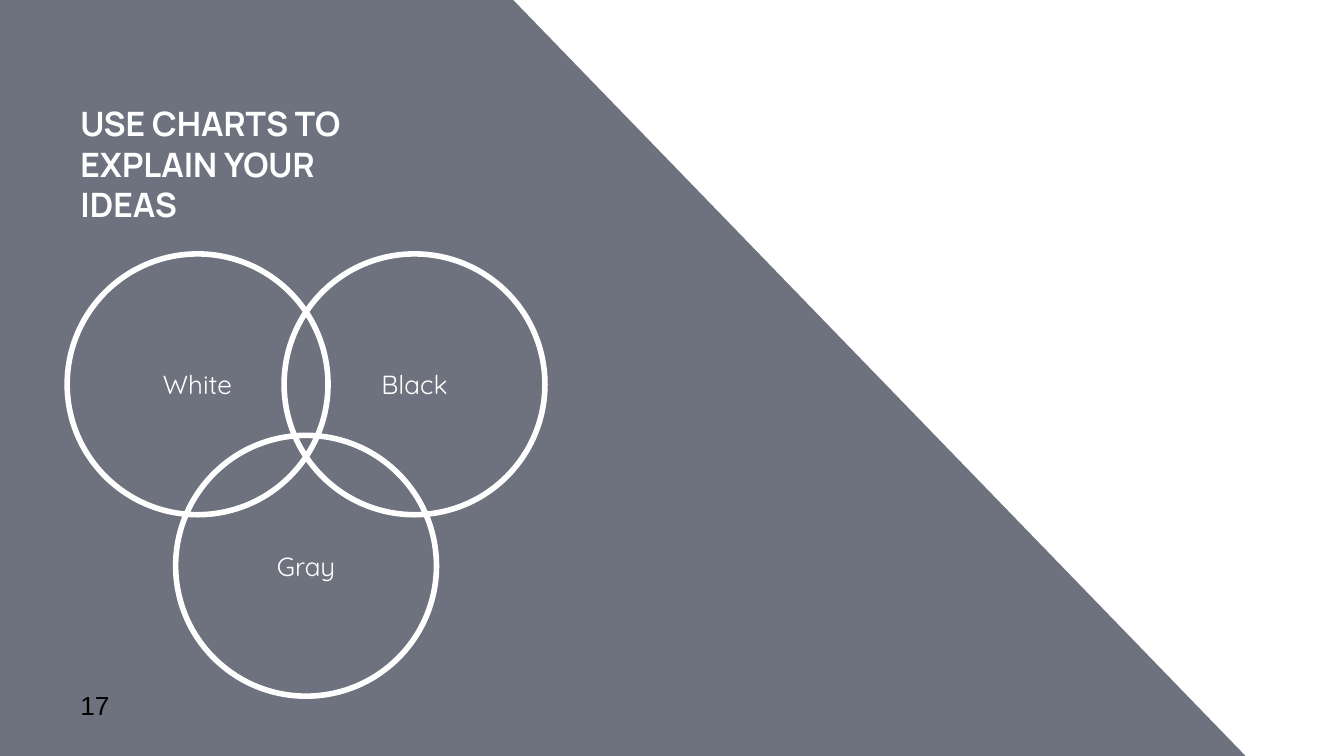
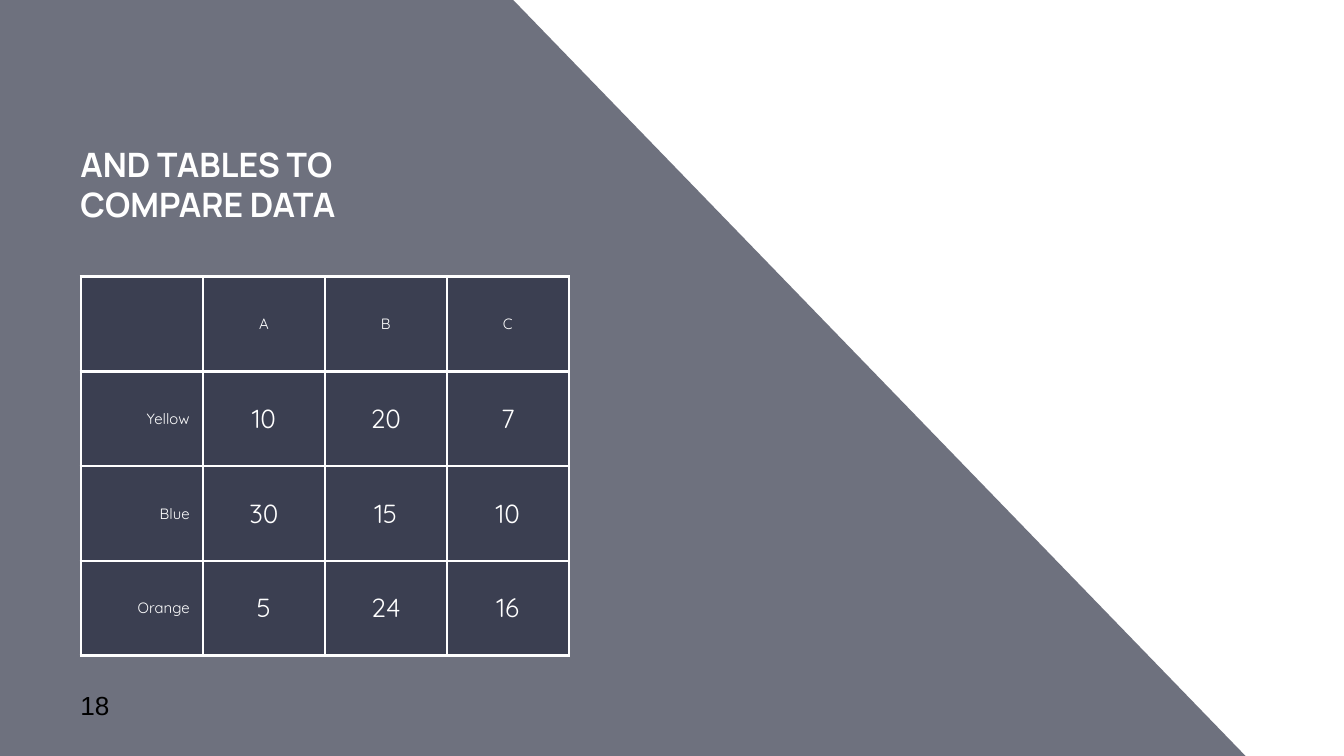
from lxml import etree
from pptx import Presentation
from pptx.dml.color import RGBColor
from pptx.enum.shapes import MSO_SHAPE
from pptx.enum.text import MSO_ANCHOR, PP_ALIGN
from pptx.oxml.ns import qn
from pptx.util import Cm, Pt

OVAL = MSO_SHAPE.OVAL
LEFT, MID, RIGHT = PP_ALIGN.LEFT, PP_ALIGN.CENTER, PP_ALIGN.RIGHT
CENTER, BOTTOM = MSO_ANCHOR.MIDDLE, MSO_ANCHOR.BOTTOM
WHITE, BLACK, NAVY = "FFFFFF", "000000", "212539"
HEAD, BODY, PLAIN = "Manrope", "Quicksand", "Arial"
WIDE, HIGH = 25.4, 14.29
MARGIN = 1.27
BAND = [(9.68, -0.02), (0, 0), (0, 14.3), (23.55, 14.3)]
GRID = [
    ["", "A", "B", "C"],
    ["Yellow", "10", "20", "7"],
    ["Blue", "30", "15", "10"],
    ["Orange", "5", "24", "16"],
]


def color(code):
    return RGBColor.from_string(code)


def tint(fill, props):
    fill.solid()
    fill.fore_color.rgb = color(NAVY)
    tone = props.find(qn("a:solidFill")).find(qn("a:srgbClr"))
    etree.SubElement(tone, qn("a:alpha"), val="65000")


def write(frame, text, size, face, code=WHITE, align=LEFT, bold=False):
    para = frame.paragraphs[0]
    para.alignment = align
    run = para.add_run()
    run.text = text
    font = run.font
    font.size, font.name, font.bold = Pt(size), face, bold
    font.color.rgb = color(code)


def inset(frame, anchor):
    frame.word_wrap = True
    frame.vertical_anchor = anchor
    frame.margin_left = frame.margin_right = Cm(0.25)
    frame.margin_top = frame.margin_bottom = Cm(0.25)


def label(slide, box, text, anchor, *style, **more):
    frame = slide.shapes.add_textbox(*map(Cm, box)).text_frame
    inset(frame, anchor)
    write(frame, text, *style, **more)


def base(deck, title, number):
    slide = deck.slides.add_slide(deck.slide_layouts[6])
    points = [(Cm(x), Cm(y)) for x, y in BAND]
    pen = slide.shapes.build_freeform(*points[0])
    pen.add_line_segments(points[1:], close=True)
    band = pen.convert_to_shape()
    band.shadow.inherit = False
    band.line.fill.background()
    tint(band.fill, band._element.spPr)
    label(slide, (MARGIN, 2.74, 6.63, 1.75), title, BOTTOM, 18, HEAD, bold=True)
    label(slide, (MARGIN, 12.98, 1.52, 0.69), str(number), CENTER, 14, PLAIN, BLACK)
    return slide


def venn(slide, left, top, size, across, down):
    rings = [("Gray", 0.5, 1), ("White", 0, 0), ("Black", 1, 0)]
    for name, col, row in rings:
        ring = slide.shapes.add_shape(
            OVAL, Cm(left + col * across), Cm(top + row * down), Cm(size), Cm(size))
        ring.shadow.inherit = False
        ring.fill.background()
        ring.line.color.rgb = color(WHITE)
        ring.line.width = Pt(3)
        inset(ring.text_frame, CENTER)
        write(ring.text_frame, name, 14, BODY, align=MID)


def border(props):
    for side in ("a:lnL", "a:lnR", "a:lnT", "a:lnB"):
        line = etree.SubElement(props, qn(side), w=str(Pt(1.5)))
        fill = etree.SubElement(line, qn("a:solidFill"))
        etree.SubElement(fill, qn("a:srgbClr"), val=WHITE)


def matrix(slide, left, top, width, height):
    shape = slide.shapes.add_table(
        len(GRID), len(GRID[0]), Cm(left), Cm(top), Cm(width), Cm(height))
    table = shape.table
    table.first_row = table.horz_banding = False
    for r, row in enumerate(GRID):
        for c, text in enumerate(row):
            cell = table.cell(r, c)
            props = cell._tc.get_or_add_tcPr()
            border(props)
            tint(cell.fill, props)
            cell.vertical_anchor = CENTER
            cell.margin_left = cell.margin_right = Cm(0.25)
            cell.margin_top = cell.margin_bottom = Cm(0.18)
            if text:
                size = 14 if r and c else 8
                write(cell.text_frame, text, size, BODY, align=MID if c else RIGHT)


def main():
    deck = Presentation()
    deck.slide_width, deck.slide_height = Cm(WIDE), Cm(HIGH)
    slide = base(deck, "USE CHARTS TO EXPLAIN YOUR IDEAS", 17)
    venn(slide, MARGIN, 4.8, 4.93, 4.1, 3.43)
    slide = base(deck, "AND TABLES TO COMPARE DATA", 18)
    matrix(slide, 1.53, 5.23, 9.22, 7.16)
    deck.save("out.pptx")


if __name__ == "__main__":
    main()
